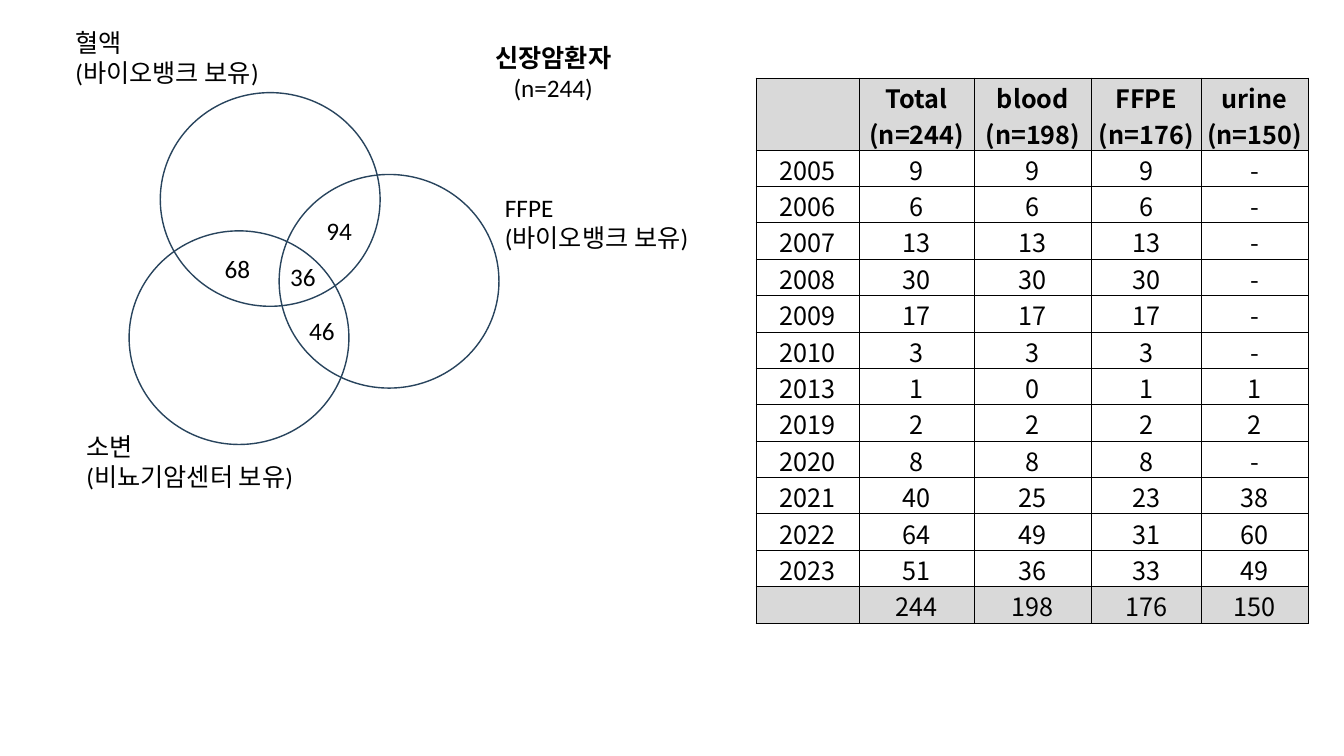
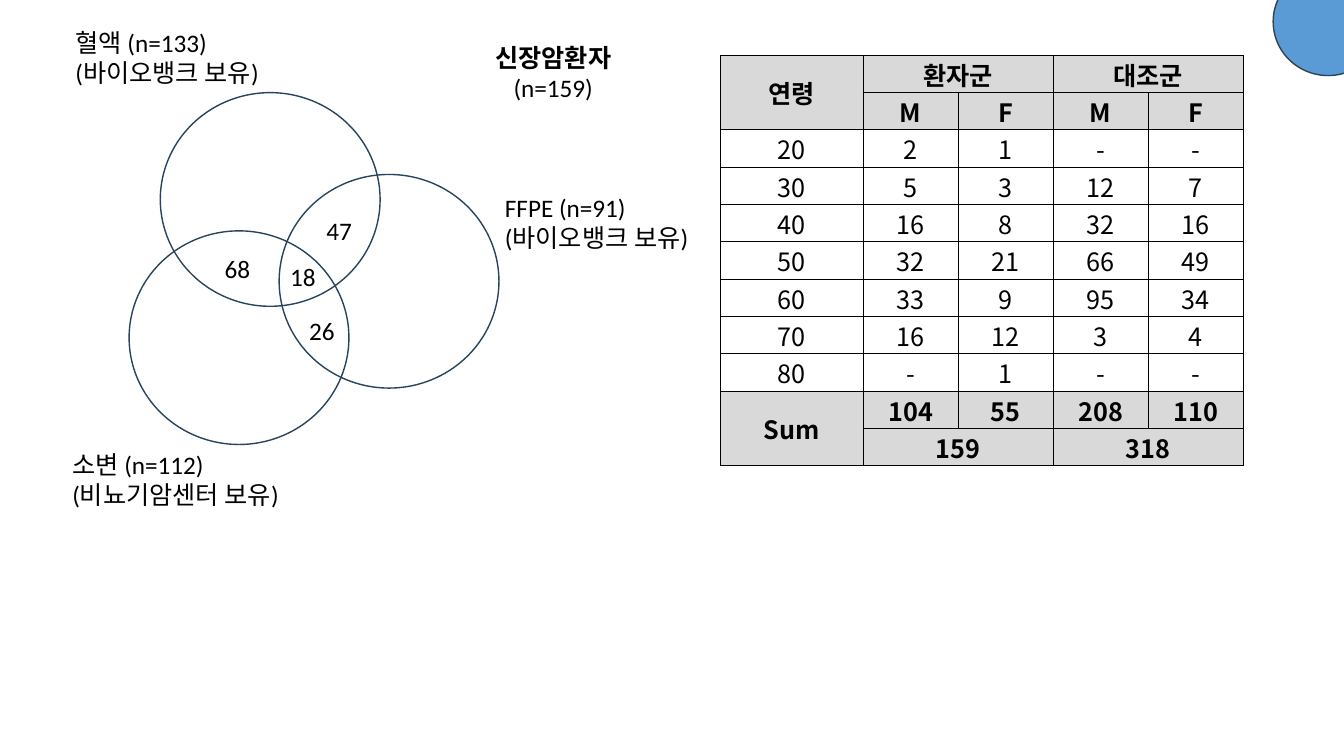
from lxml.etree import SubElement
from pptx import Presentation
from pptx.dml.color import RGBColor
from pptx.enum.shapes import MSO_SHAPE
from pptx.enum.text import MSO_ANCHOR, MSO_AUTO_SIZE, PP_ALIGN
from pptx.oxml.ns import qn
from pptx.util import Pt

BLACK = RGBColor(0, 0, 0)
NAVY = RGBColor(0x28, 0x44, 0x5D)
BLUE = RGBColor(0x5B, 0x9B, 0xD5)
GRAY = RGBColor(0xD9, 0xD9, 0xD9)
LATIN_FONT, KOREAN_FONT = "Calibri", "Noto Sans CJK KR"
TEXT_SIZE = 18

# Venn diagram geometry shared by both slides: left, top, width, height
CIRCLE_SIZE = (157, 152.6)
CIRCLE_CORNERS = [(114.5, 66.2), (199.4, 124.6), (92.2, 164.9)]
BLOOD_BOX = (46.8, 15.84, 157, 51)
FFPE_BOX = (353.6, 133.9, 157, 51)
HEADING_BOX = (342.7, 26.6, 105, 51)
URINE_SIZE = (175, 51)
COUNT_SIZE = (33, 29)
COUNT_CORNERS = [(200.2, 182.9), (226.1, 150.5), (213.8, 221.8), (153.4, 177.1)]
CORNER_DOT = (909.4, -23, 78.5, 77)

BIOBANK = "(바이오뱅크 보유)"
UROLOGY = "(비뇨기암센터 보유)"

# Overlap counts run: all three, blood and FFPE, FFPE and urine, blood and urine
SLIDES = [
    {
        "heading": "(n=244)",
        "blood": "혈액", "ffpe": "FFPE", "urine": "소변",
        "urine_corner": (54.7, 304.6),
        "counts": [36, 94, 46, 68],
        "corner_dot": False,
        "table": {
            "corner": (540, 55.6),
            "columns": [73.7, 82.2, 83.9, 78.1, 76.7],
            "row_heights": [51.5] + [26] * 13,
            "shaded": {0, 13}, "bold": {0}, "merges": [],
            "rows": [
                ("", "Total (n=244)", "blood (n=198)", "FFPE (n=176)", "urine (n=150)"),
                (2005, 9, 9, 9, "-"),
                (2006, 6, 6, 6, "-"),
                (2007, 13, 13, 13, "-"),
                (2008, 30, 30, 30, "-"),
                (2009, 17, 17, 17, "-"),
                (2010, 3, 3, 3, "-"),
                (2013, 1, 0, 1, 1),
                (2019, 2, 2, 2, 2),
                (2020, 8, 8, 8, "-"),
                (2021, 40, 25, 23, 38),
                (2022, 64, 49, 31, 60),
                (2023, 51, 36, 33, 49),
                ("", 244, 198, 176, 150),
            ],
        },
    },
    {
        "heading": "(n=159)",
        "blood": "혈액 (n=133)", "ffpe": "FFPE (n=91)", "urine": "소변 (n=112)",
        "urine_corner": (44.6, 317.5),
        "counts": [18, 47, 26, 68],
        "corner_dot": True,
        "table": {
            "corner": (514.3, 39.2),
            "columns": [102.2] + [67.9] * 4,
            "row_heights": [26.7] * 11,
            "shaded": {0, 1, 9, 10}, "bold": {0, 1, 9, 10},
            # First and last cell of each merged block, as row and column
            "merges": [((0, 0), (1, 0)), ((0, 1), (0, 2)), ((0, 3), (0, 4)),
                       ((9, 0), (10, 0)), ((10, 1), (10, 2)), ((10, 3), (10, 4))],
            "rows": [
                ("연령", "환자군", "", "대조군", ""),
                ("", "M", "F", "M", "F"),
                (20, 2, 1, "-", "-"),
                (30, 5, 3, 12, 7),
                (40, 16, 8, 32, 16),
                (50, 32, 21, 66, 49),
                (60, 33, 9, 95, 34),
                (70, 16, 12, 3, 4),
                (80, "-", 1, "-", "-"),
                ("Sum", 104, 55, 208, 110),
                ("", 159, "", 318, ""),
            ],
        },
    },
]


def points(values):
    return [Pt(value) for value in values]


def style_runs(paragraph, font_name, bold=False):
    for run in paragraph.runs:
        run.font.name = font_name
        run.font.size = Pt(TEXT_SIZE)
        run.font.bold = bold
        run.font.color.rgb = BLACK
        SubElement(run.font._element, qn("a:ea"), typeface=KOREAN_FONT)


def add_label(slide, box, lines, centered=False):
    """Text box of one paragraph a line; a centred label has a bold first line."""
    frame = slide.shapes.add_textbox(*points(box)).text_frame
    frame.word_wrap = False
    frame.auto_size = MSO_AUTO_SIZE.SHAPE_TO_FIT_TEXT
    frame.text = "\n".join(lines)
    for index, paragraph in enumerate(frame.paragraphs):
        paragraph.alignment = PP_ALIGN.CENTER if centered else PP_ALIGN.LEFT
        style_runs(paragraph, LATIN_FONT, bold=centered and index == 0)


def add_circle(slide, box, fill=None):
    circle = slide.shapes.add_shape(MSO_SHAPE.OVAL, *points(box))
    circle.shadow.inherit = False
    circle.line.color.rgb = NAVY
    circle.line.width = Pt(1)
    if fill is None:
        circle.fill.background()
    else:
        circle.fill.solid()
        circle.fill.fore_color.rgb = fill


def add_borders(cell):
    properties = cell._tc.get_or_add_tcPr()
    for index, side in enumerate(("a:lnL", "a:lnR", "a:lnT", "a:lnB")):
        border = properties.makeelement(qn(side), {"w": str(Pt(0.5))})
        solid = SubElement(border, qn("a:solidFill"))
        SubElement(solid, qn("a:srgbClr"), val=str(BLACK))
        properties.insert(index, border)


def style_cell(cell, value, shaded, bold):
    cell.margin_left = cell.margin_right = cell.margin_top = Pt(0.72)
    cell.margin_bottom = 0
    cell.vertical_anchor = MSO_ANCHOR.MIDDLE
    if shaded:
        cell.fill.solid()
        cell.fill.fore_color.rgb = GRAY
    else:
        cell.fill.background()
    add_borders(cell)
    cell.text_frame.text = str(value)
    paragraph = cell.text_frame.paragraphs[0]
    paragraph.alignment = PP_ALIGN.CENTER
    style_runs(paragraph, KOREAN_FONT, bold)


def add_count_table(slide, content):
    rows, columns, heights = content["rows"], content["columns"], content["row_heights"]
    box = (*content["corner"], sum(columns), sum(heights))
    table = slide.shapes.add_table(len(rows), len(columns), *points(box)).table
    table.first_row = table.horz_banding = False
    for column, width in zip(table.columns, columns):
        column.width = Pt(width)
    for r, (row, height) in enumerate(zip(rows, heights)):
        table.rows[r].height = Pt(height)
        for c, value in enumerate(row):
            style_cell(table.cell(r, c), value, r in content["shaded"], r in content["bold"])
    for first, last in content["merges"]:
        table.cell(*first).merge(table.cell(*last))


def add_venn(slide, content):
    for corner in CIRCLE_CORNERS:
        add_circle(slide, corner + CIRCLE_SIZE)
    add_label(slide, FFPE_BOX, [content["ffpe"], BIOBANK])
    add_label(slide, BLOOD_BOX, [content["blood"], BIOBANK])
    add_label(slide, content["urine_corner"] + URINE_SIZE, [content["urine"], UROLOGY])
    add_label(slide, HEADING_BOX, ["신장암환자", content["heading"]], centered=True)
    for corner, count in zip(COUNT_CORNERS, content["counts"]):
        add_label(slide, corner + COUNT_SIZE, [str(count)])


def main():
    deck = Presentation()
    deck.slide_width, deck.slide_height = Pt(960), Pt(540)
    for content in SLIDES:
        slide = deck.slides.add_slide(deck.slide_layouts[6])
        add_venn(slide, content)
        add_count_table(slide, content["table"])
        if content["corner_dot"]:
            add_circle(slide, CORNER_DOT, BLUE)
    deck.save("out.pptx")


if __name__ == "__main__":
    main()
